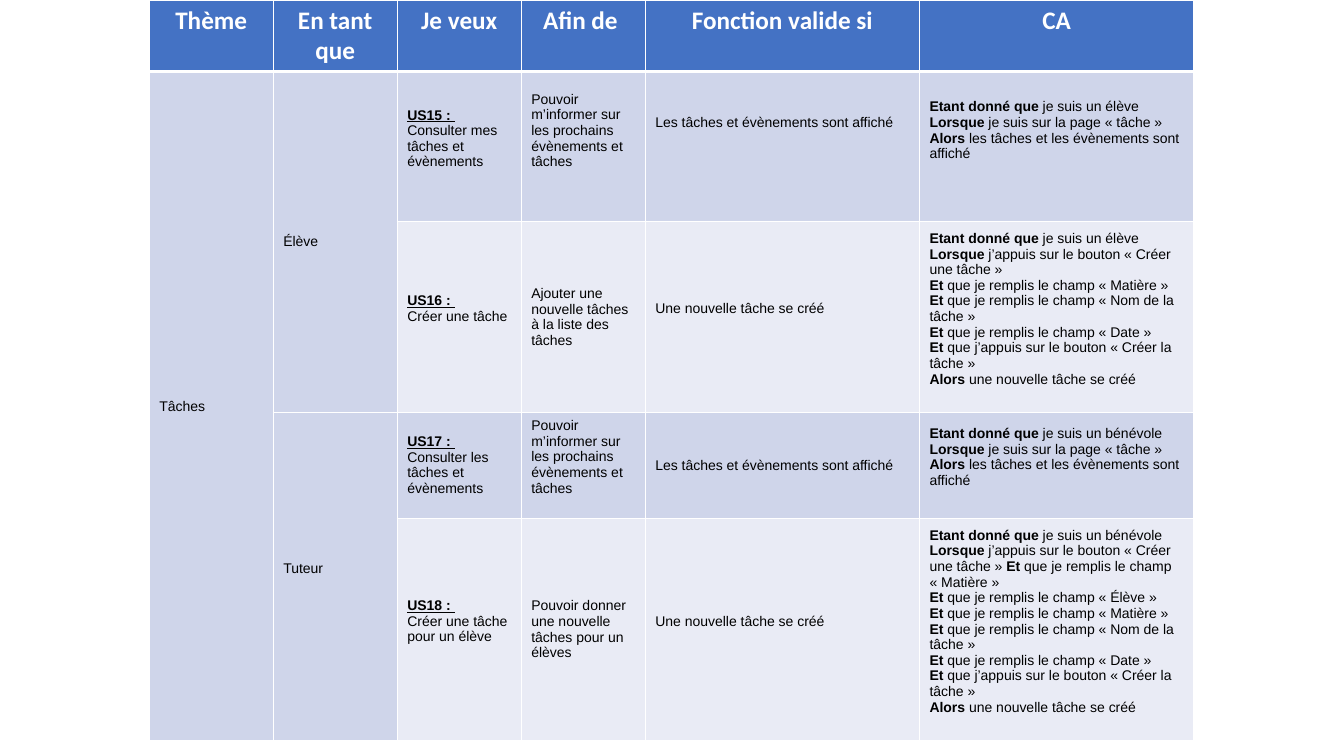
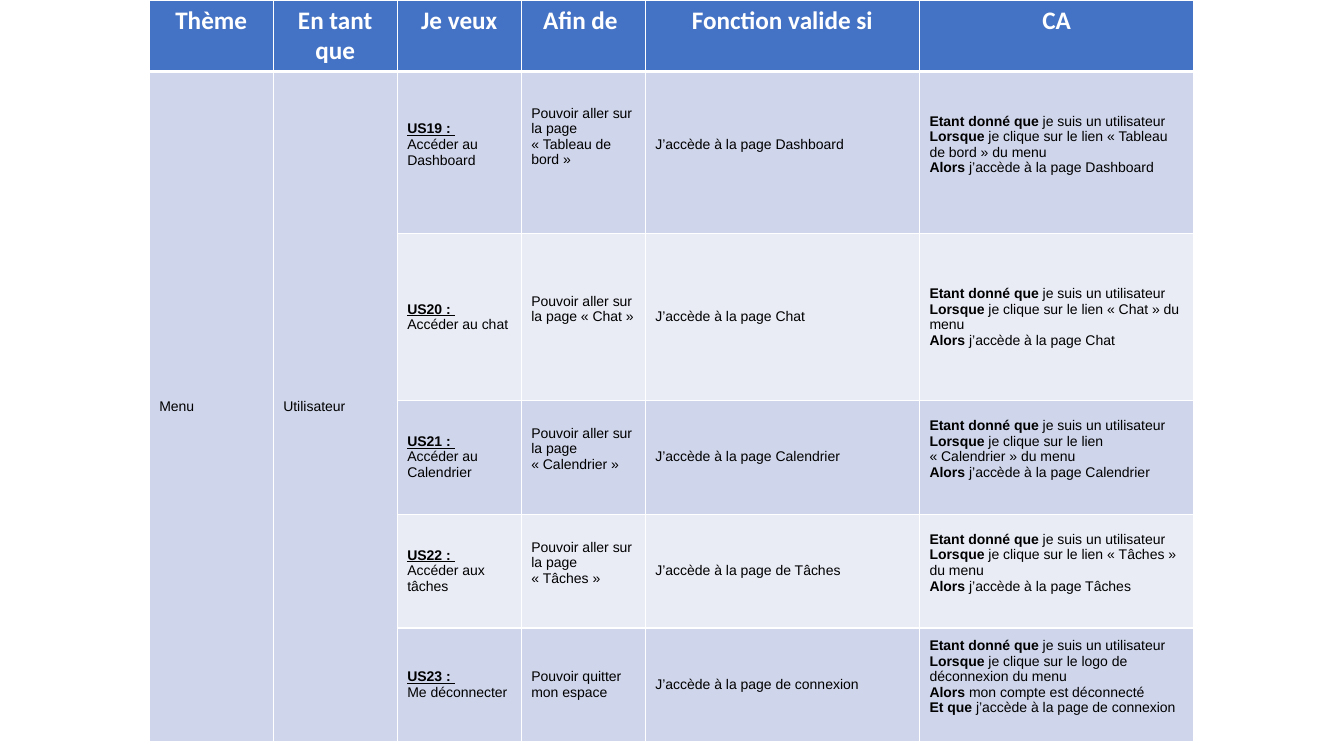
import lxml.etree
import pptx
import pptx.dml.color
import pptx.enum.text
import pptx.oxml.ns
import pptx.util

Inches, Pt = pptx.util.Inches, pptx.util.Pt
RGBColor = pptx.dml.color.RGBColor
MIDDLE = pptx.enum.text.MSO_ANCHOR.MIDDLE
qn = pptx.oxml.ns.qn

# Shared look
WHITE = RGBColor(0xFF, 0xFF, 0xFF)
BLACK = RGBColor(0, 0, 0)
HEADER_BLUE = RGBColor(0x44, 0x72, 0xC4)
BANDS = [RGBColor(0xCF, 0xD5, 0xEA), RGBColor(0xE9, 0xEB, 0xF5)]
HEADER_FONT = {"name": "Calibri", "size": Pt(18), "bold": True, "color": WHITE}
BODY_FONT = {"name": "Arial", "size": Pt(10), "bold": False, "color": BLACK}
COLUMN_WIDTHS = [1.23, 1.23, 1.23, 1.23, 2.72, 2.72]
HEADINGS = ["Thème", "En tant que", "Je veux", "Afin de ", "Fonction valide si", "CA"]
LINE_HEIGHT = 0.16

# Wording that recurs: *bold*, \n new paragraph, \v line break
GIVEN = "*Etant donné que *je suis un "
CLICK = "*Lorsque *je clique sur le "
FIELD = "*Et *que je remplis le champ "
TASK_PAGE = ("\n*Lorsque *je suis sur la page «\u00a0tâche\u00a0»"
             "\n*Alors *les tâches et les évènements sont affiché")
NEW_TASK = "\n*Lorsque *j’appuis sur le bouton «\u00a0Créer une tâche\u00a0»"
SUBJECT = FIELD + "«\u00a0Matière\u00a0»"
TASK_FORM = (f"\n{SUBJECT}\n{FIELD}«\u00a0Nom de la tâche\u00a0»\n{FIELD}« Date\u00a0»"
             "\n*Et *que j’appuis sur le bouton «\u00a0Créer la tâche\u00a0»"
             "\n*Alors *une nouvelle tâche se créé")
INFORM = "Pouvoir m’informer sur les prochains évènements et tâches"
SHOWN = "Les tâches et évènements sont affiché"
CREATED = "Une nouvelle tâche se créé"
GO_TO = "Pouvoir aller sur la page "
REACH = "J’accède à la page "
USER = GIVEN + "utilisateur\n" + CLICK
ARRIVE = " du menu\n*Alors *j’accède à la page "

# Roles: name, number of stories, free lines below.
# Stories: number, the four texts, free lines below each text.
BACKLOGS = [
    {"theme": "Tâches",
     "heights": [0.68, 1.49, 1.89, 1.05, 2.21],
     "roles": [("Élève", 2, 0), ("Tuteur", 2, 1)],
     "stories": [
         (15, ["Consulter mes tâches et évènements", INFORM, SHOWN,
               GIVEN + "élève" + TASK_PAGE], [1, 2, 3, 2]),
         (16, ["Créer une tâche", "Ajouter une nouvelle tâches à la liste des tâches",
               CREATED, GIVEN + "élève" + NEW_TASK + TASK_FORM], [1, 0, 1, 1]),
         (17, ["Consulter les tâches et évènements", INFORM, SHOWN,
               GIVEN + "bénévole" + TASK_PAGE], [0, 1, 0, 1]),
         (18, ["Créer une tâche pour un élève",
               "Pouvoir donner une nouvelle tâches pour un élèves", CREATED,
               GIVEN + "bénévole" + NEW_TASK + SUBJECT.replace("*Et", "* Et", 1)
               + f"\n{FIELD}«\u00a0Élève\u00a0»" + TASK_FORM], [1, 0, 1, 1]),
     ]},
    {"theme": "Menu",
     "heights": [0.66, 1.61, 1.65, 1.13, 1.13, 1.13],
     "roles": [("Utilisateur", 5, 0)],
     "stories": [
         (19, ["Accéder au Dashboard", GO_TO + "«\u00a0Tableau de bord\u00a0»",
               REACH + "Dashboard",
               USER + "lien «\u00a0Tableau de bord\u00a0»" + ARRIVE + "Dashboard"],
          [1, 2, 1, 1]),
         (20, ["Accéder au chat", GO_TO + "«\u00a0Chat\u00a0»", REACH + "Chat",
               USER + "lien «\u00a0Chat\u00a0»" + ARRIVE + "Chat"], [0, 1, 0, 0]),
         (21, ["Accéder au Calendrier", GO_TO + "«\u00a0Calendrier\u00a0»",
               REACH + "Calendrier",
               USER + "lien «\u00a0Calendrier\u00a0»" + ARRIVE + "Calendrier"],
          [0, 1, 0, 1]),
         (22, ["Accéder aux tâches", GO_TO + "«\u00a0Tâches\u00a0»", REACH + "de Tâches",
               USER + "lien «\u00a0Tâches\u00a0»" + ARRIVE + "Tâches"], [0, 1, 0, 1]),
         (23, ["Me déconnecter", "Pouvoir quitter mon espace", REACH + "de connexion",
               USER + "logo de déconnexion du menu\n*Alors *mon compte est déconnecté "
               "*\vEt que *j’accède à la page de connexion"], [0, 0, 0, 1]),
     ]},
]


def write(cell, text, look, free_lines=0):
    """Fill a cell with marked-up text, leaving free lines below it."""
    cell.margin_bottom = Inches(0.05 + LINE_HEIGHT * free_lines)
    for number, line in enumerate(text.split("\n")):
        frame = cell.text_frame
        paragraph = frame.add_paragraph() if number else frame.paragraphs[0]
        for position, part in enumerate(line.split("*")):
            if part.startswith("\v"):
                paragraph.add_line_break()
                lxml.etree.SubElement(paragraph._p[-1], qn("a:rPr"), sz="1000")
                part = part[1:]
            if not part:
                continue
            run = paragraph.add_run()
            run.text = part
            for key, value in look.items():
                if key == "color":
                    run.font.color.rgb = value
                else:
                    setattr(run.font, key, value)
            if position % 2:
                run.font.bold = True
                run.font.underline = part.startswith("US") or None


def paint(cell, row, fill):
    """Give a cell white borders, thick under the header, and a fill."""
    properties = cell._tc.get_or_add_tcPr()
    for side in "LRTB":
        thick = (row, side) in [(0, "B"), (1, "T")]
        border = lxml.etree.SubElement(properties, qn("a:ln" + side),
                                       w=str(Pt(3 if thick else 1)))
        solid = lxml.etree.SubElement(border, qn("a:solidFill"))
        lxml.etree.SubElement(solid, qn("a:srgbClr"), val=str(WHITE))
    cell.fill.solid()
    cell.fill.fore_color.rgb = fill


deck = pptx.Presentation()
deck.slide_width, deck.slide_height = Inches(13.33), Inches(7.5)

for backlog in BACKLOGS:
    slide = deck.slides.add_slide(deck.slide_layouts[6])
    heights = backlog["heights"]
    grid = slide.shapes.add_table(
        len(heights), len(COLUMN_WIDTHS), Inches(1.48), Inches(0),
        Inches(sum(COLUMN_WIDTHS)), Inches(sum(heights))).table
    for column, width in zip(grid.columns, COLUMN_WIDTHS):
        column.width = Inches(width)

    # Borders and bands
    for row, height in enumerate(heights):
        grid.rows[row].height = Inches(height)
        for column in range(len(COLUMN_WIDTHS)):
            cell = grid.cell(row, column)
            band = BANDS[0] if column < 2 else BANDS[(row - 1) % 2]
            paint(cell, row, band if row else HEADER_BLUE)
            if row:
                cell.vertical_anchor = MIDDLE

    # Header
    for column, heading in enumerate(HEADINGS):
        write(grid.cell(0, column), heading, HEADER_FONT)
        grid.cell(0, column).text_frame.paragraphs[0].alignment = (
            pptx.enum.text.PP_ALIGN.CENTER)

    # Theme and roles
    grid.cell(1, 0).merge(grid.cell(len(heights) - 1, 0))
    write(grid.cell(1, 0), backlog["theme"], BODY_FONT)
    first = 1
    for role, count, free_lines in backlog["roles"]:
        grid.cell(first, 1).merge(grid.cell(first + count - 1, 1))
        write(grid.cell(first, 1), role, BODY_FONT, free_lines)
        first += count

    # User stories
    for row, (number, texts, free) in enumerate(backlog["stories"], start=1):
        wish, *others = texts
        titled = [f"*US{number} : *\v{wish}", *others]
        for column, (text, free_lines) in enumerate(zip(titled, free), start=2):
            write(grid.cell(row, column), text, BODY_FONT, free_lines)

deck.save("out.pptx")
